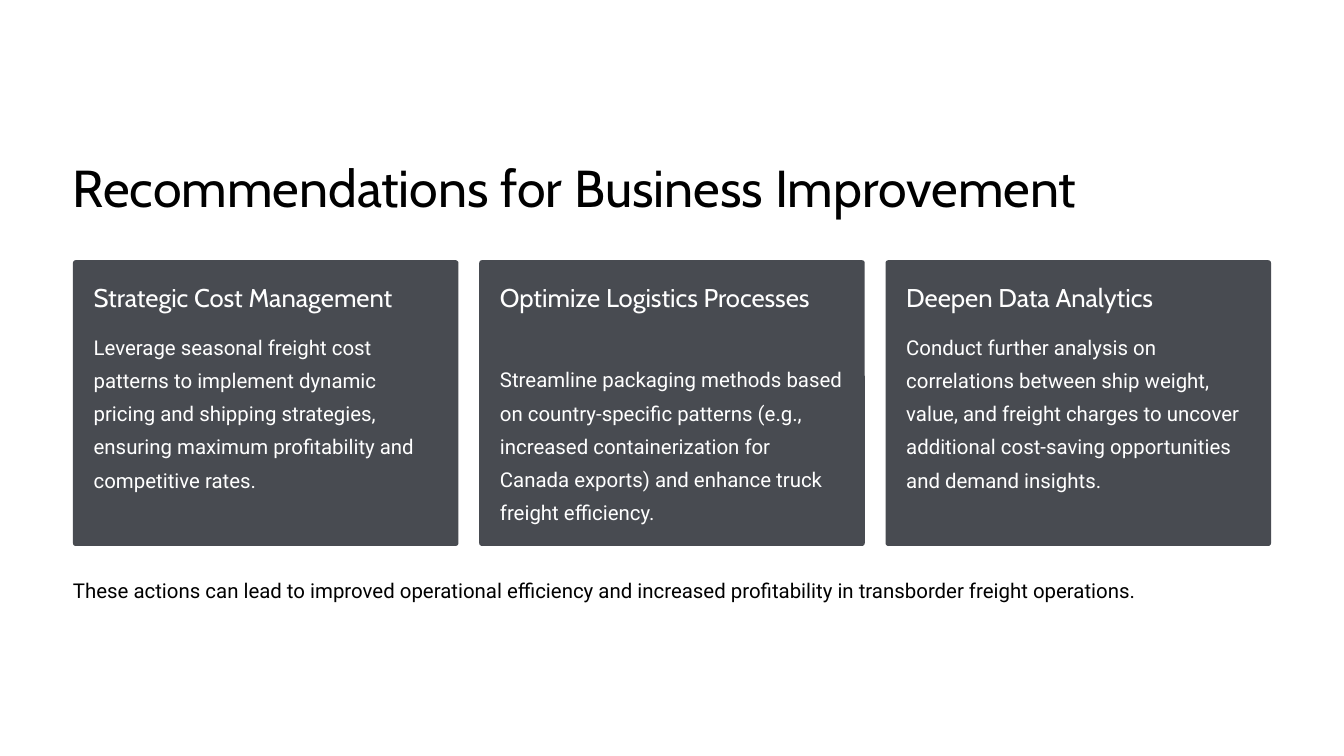
from dataclasses import dataclass

from pptx import Presentation
from pptx.dml.color import RGBColor
from pptx.enum.shapes import MSO_SHAPE as Preset
from pptx.util import Pt


@dataclass(frozen=True)
class Theme:
    paper: RGBColor = RGBColor(0xFF, 0xFF, 0xFF)
    ink: RGBColor = RGBColor(0x00, 0x00, 0x00)
    card: RGBColor = RGBColor(0x48, 0x4B, 0x51)
    heading_font: str = "Cabin"
    body_font: str = "Roboto"
    title_size: float = 44.5
    heading_size: float = 22
    body_size: float = 17.5
    title_line: float = 55.5
    heading_line: float = 27.5
    body_line: float = 28.5


theme = Theme()
title_style = (theme.heading_font, theme.title_size, theme.title_line)
heading_style = (theme.heading_font, theme.heading_size, theme.heading_line)
body_style = (theme.body_font, theme.body_size, theme.body_line)

deck = Presentation()
deck.slide_width, deck.slide_height = Pt(1152), Pt(648)
page = deck.slides.add_slide(deck.slide_layouts[6])
page.background.fill.solid()
page.background.fill.fore_color.rgb = theme.paper


def add_text(text, left, top, width, height, style, color):
    box = page.shapes.add_textbox(Pt(left), Pt(top), Pt(width), Pt(height))
    frame = box.text_frame
    frame.margin_left = frame.margin_top = frame.margin_right = frame.margin_bottom = 0
    frame.word_wrap = True
    font_name, size, line = style
    para = frame.paragraphs[0]
    para.line_spacing = Pt(line)
    span = para.add_run()
    span.text = text
    span.font.name = font_name
    span.font.size = Pt(size)
    span.font.color.rgb = color


margin = 62.5
content_width = 1152 - 2 * margin
card_gap = 17.75
card_width = (content_width - 2 * card_gap) / 3
card_top, card_height = 223, 245
padding = 17.75
text_width = card_width - 2 * padding

cards = [
    ("Strategic Cost Management", 1,
     "Leverage seasonal freight cost patterns to implement dynamic pricing and "
     "shipping strategies, ensuring maximum profitability and competitive rates."),
    ("Optimize Logistics Processes", 2,
     "Streamline packaging methods based on country-specific patterns (e.g., "
     "increased containerization for Canada exports) and enhance truck freight efficiency."),
    ("Deepen Data Analytics", 1,
     "Conduct further analysis on correlations between ship weight, value, and freight "
     "charges to uncover additional cost-saving opportunities and demand insights."),
]

add_text("Recommendations for Business Improvement",
         margin, 131, content_width, 56, title_style, theme.ink)

for index, (heading, heading_lines, body) in enumerate(cards):
    left = margin + index * (card_width + card_gap)
    card = page.shapes.add_shape(Preset.ROUNDED_RECTANGLE, Pt(left), Pt(card_top),
                                 Pt(card_width), Pt(card_height))
    card.adjustments[0] = 0.01
    card.shadow.inherit = False
    card.fill.solid()
    card.fill.fore_color.rgb = theme.card
    card.line.fill.background()

    text_left = left + padding
    heading_top = card_top + padding
    heading_height = heading_lines * 28
    body_top = heading_top + heading_height + 10.75
    add_text(heading, text_left, heading_top, text_width, heading_height,
             heading_style, theme.paper)
    add_text(body, text_left, body_top, text_width, 142.5, body_style, theme.paper)

add_text("These actions can lead to improved operational efficiency and increased "
         "profitability in transborder freight operations.",
         margin, 488, content_width, 28.5, body_style, theme.ink)

deck.save("out.pptx")
